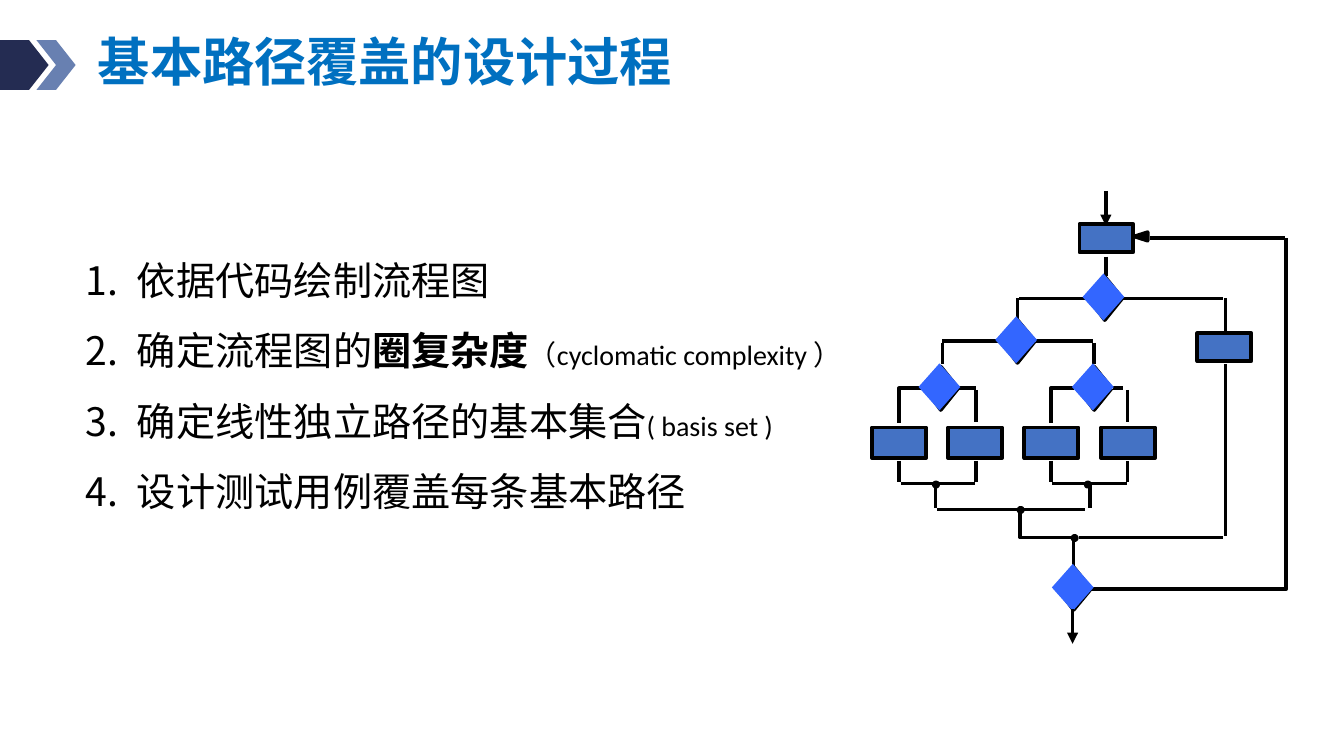
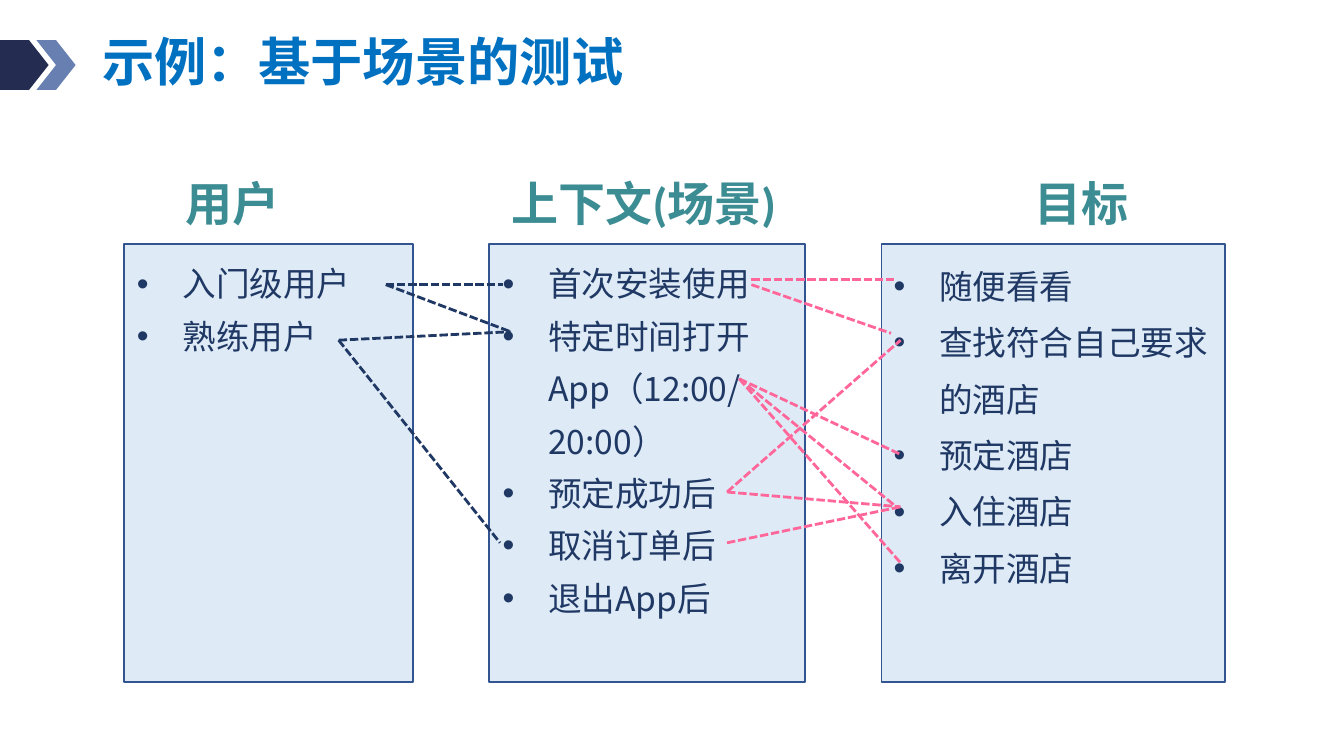
from dataclasses import dataclass
from lxml.etree import SubElement
from pptx import Presentation
from pptx.dml.color import RGBColor
from pptx.enum.dml import MSO_LINE
from pptx.enum.shapes import MSO_CONNECTOR, MSO_SHAPE
from pptx.enum.text import MSO_ANCHOR, PP_ALIGN
from pptx.oxml.ns import qn
from pptx.util import Cm, Pt

# Shared style
COLORS = {
    "title": "0070C0", "navy": "242C52", "steel": "6880B1",
    "black": "000000", "action": "4472C4", "choice": "3366FF",
    "panel": "DEEBF7", "border": "325491", "ink": "203864",
    "pink": "FF6699", "teal": "3C8C93",
}
HAN, LATIN = "Noto Sans CJK SC", "Calibri"
INCH = 2.54


@dataclass
class Box:
    left: float
    top: float
    width: float
    height: float


@dataclass
class Span:
    text: str
    size: float | None = None
    bold: bool = False


@dataclass
class Panel:
    box: Box
    items: list[str]
    space: float = 1.3
    inset: tuple[float, float] = (0.1, 0.05)


@dataclass
class Fan:
    color: str
    start: tuple[float, float]
    ends: list[tuple[float, float]]


def size(inches: float) -> Cm:
    return Cm(round(inches * INCH, 2))


def place(box: Box) -> list[Cm]:
    return [size(v) for v in (box.left, box.top, box.width, box.height)]


def tint(name: str) -> RGBColor:
    return RGBColor.from_string(COLORS[name])


# Drawing helpers
def paint(shape, fill: str | None, line: str | None, width: float = 2) -> None:
    shape.shadow.inherit = False
    if fill:
        shape.fill.solid()
        shape.fill.fore_color.rgb = tint(fill)
    else:
        shape.fill.background()
    if line:
        shape.line.color.rgb = tint(line)
        shape.line.width = Pt(width)
    else:
        shape.line.fill.background()


def draw_shape(slide, kind, box: Box, fill: str, line: str | None = None,
               width: float = 2):
    shape = slide.shapes.add_shape(kind, *place(box))
    paint(shape, fill, line, width)
    return shape


def draw_line(slide, start, end, color: str = "black", width: float = 2,
              dash: bool = False, arrow: bool = False) -> None:
    line = slide.shapes.add_connector(
        MSO_CONNECTOR.STRAIGHT, *[size(v) for v in (*start, *end)])
    line.line.color.rgb = tint(color)
    line.line.width = Pt(width)
    if dash:
        line.line.dash_style = MSO_LINE.SQUARE_DOT
    props = line._element.spPr
    if arrow:
        SubElement(props.find(qn("a:ln")), qn("a:tailEnd"), type="triangle")
    SubElement(props, qn("a:effectLst"))


def draw_path(slide, points, fill: str | None = None) -> None:
    first, *rest = [(size(x), size(y)) for x, y in points]
    pen = slide.shapes.build_freeform(*first)
    pen.add_line_segments(rest, close=fill is not None)
    paint(pen.convert_to_shape(), fill, "black")


def add_text(slide, box: Box):
    frame = slide.shapes.add_textbox(*place(box)).text_frame
    frame.word_wrap = True
    return frame


def set_font(para, points: float, name: str, color: str,
             bold: bool | None = None) -> None:
    font = para.font
    font.size, font.name, font.bold = Pt(points), name, bold
    font.color.rgb = tint(color)
    SubElement(font._element, qn("a:ea"), typeface=HAN)


def set_bullet(para, indent: float, tag: str, **marks: str) -> None:
    props = para._p.get_or_add_pPr()
    props.set("marL", str(size(indent)))
    props.set("indent", str(-size(indent)))
    SubElement(props, qn("a:buFont"), typeface="Arial" if tag == "buChar" else "+mj-lt")
    SubElement(props, qn(f"a:{tag}"), **marks)


def next_para(frame, index: int):
    return frame.paragraphs[0] if index == 0 else frame.add_paragraph()


def new_slide(deck, title: str, box: Box):
    slide = deck.slides.add_slide(deck.slide_layouts[6])
    # Corner mark
    tab = draw_shape(slide, MSO_SHAPE.ROUNDED_RECTANGLE,
                     Box(-0.13, 0.3, 0.35, 0.37), "navy")
    tab.adjustments[0] = 0.1
    for left, color in ((0.27, "steel"), (0.07, "navy")):
        draw_shape(slide, MSO_SHAPE.CHEVRON, Box(left, 0.3, 0.29, 0.37), color)
    # Title
    frame = add_text(slide, box)
    frame.vertical_anchor = MSO_ANCHOR.MIDDLE
    para = frame.paragraphs[0]
    para.text = title
    para.line_spacing = 0.9
    set_font(para, 28, HAN, "title", True)
    return slide


# Slide 1: steps and flowchart
STEPS = [
    [Span("依据代码绘制流程图")],
    [Span("确定流程图的"), Span("圈复杂度", bold=True),
     Span("（cyclomatic complexity ）", 15)],
    [Span("确定线性独立路径的基本集合"), Span("( basis set )", 15)],
    [Span("设计测试用例覆盖每条基本路径")],
]
CHOICES = [(8.22, 2.22), (7.57, 2.54), (7, 2.89), (8.14, 2.89), (7.99, 4.38)]
ACTIONS = [Box(8.03, 1.67, 0.4, 0.21), Box(8.91, 2.48, 0.4, 0.21)] + [
    Box(6.49 + 0.567 * i, 3.18, 0.4, 0.23) for i in range(4)]
JOINS = [(6.95, 3.59), (8.08, 3.59), (7.58, 3.78), (7.98, 3.99)]
BRANCHES = (6.69, 7.82)
EDGES = [
    ((8.56, 1.77), (9.56, 1.77)), ((8.23, 1.91), (8.23, 2.05)),
    ((8.07, 2.22), (7.58, 2.22)), ((8.36, 2.22), (9.1, 2.22)),
    ((7.57, 2.38), (7.57, 2.22)), ((9.12, 2.47), (9.12, 2.22)),
    ((7.45, 2.54), (7.01, 2.54)), ((7.71, 2.54), (8.13, 2.54)),
    ((7.01, 2.55), (7.01, 2.71)), ((8.14, 2.55), (8.14, 2.71)),
    ((7.13, 2.89), (7.26, 2.89)), ((8.28, 2.89), (8.36, 2.89)),
    ((6.96, 3.61), (6.96, 3.78)), ((8.11, 3.61), (8.11, 3.78)),
    ((6.97, 3.79), (7.59, 3.79)), ((7.61, 3.79), (8.07, 3.79)),
    ((9.12, 2.71), (9.12, 3.99)), ((8.03, 4), (9.1, 4)),
    ((7.99, 4.21), (7.99, 4)),
]
ARROWS = [((7.98, 4.53), (7.98, 4.79)), ((8.23, 1.42), (8.23, 1.68))]
ELBOWS = [
    [(7.59, 3.81), (7.59, 4), (7.99, 4)],
    [(8.12, 4.38), (9.57, 4.38), (9.57, 1.77)],
]


def draw_flow(slide) -> None:
    for box in ACTIONS:
        draw_shape(slide, MSO_SHAPE.RECTANGLE, box, "action", "black")
    for start, end in EDGES:
        draw_line(slide, start, end)
    for points in ELBOWS:
        draw_path(slide, points)
    # Twin branches above and below the four actions
    for left in BRANCHES:
        right = left + 0.57
        draw_path(slide, [(left + 0.17, 2.89), (left, 2.89), (left, 3.15)])
        draw_line(slide, (right, 2.9), (right, 3.14))
        for x in (left, right):
            draw_line(slide, (x, 3.43), (x, 3.59))
        draw_line(slide, (left + 0.01, 3.6), (right - 0.01, 3.6))
    for x, y in JOINS:
        draw_shape(slide, MSO_SHAPE.OVAL, Box(x, y, 0.03, 0.03), "black", "black")
    # Head of the loop back
    draw_path(slide, [(8.44, 1.76), (8.54, 1.73), (8.54, 1.79)], "black")
    # Decisions with their dark edges
    for x, y in CHOICES:
        for rise in (-0.16, 0.16):
            draw_path(slide, [(x - 0.12, y), (x, y + rise), (x + 0.13, y)])
        draw_shape(slide, MSO_SHAPE.DIAMOND,
                   Box(x - 0.165, y - 0.185, 0.31, 0.35), "choice")
    for start, end in ARROWS:
        draw_line(slide, start, end, arrow=True)


def draw_steps(slide) -> None:
    frame = add_text(slide, Box(0.54, 1.68, 6.04, 2.16))
    for i, spans in enumerate(STEPS):
        para = next_para(frame, i)
        para.line_spacing = 1.5
        set_bullet(para, 0.38, "buAutoNum", type="arabicPeriod")
        set_font(para, 21, LATIN, "black")
        for span in spans:
            run = para.add_run()
            run.text = span.text
            if span.size:
                run.font.size = Pt(span.size)
            if span.bold:
                run.font.bold, run.font.name = True, HAN


# Slide 2: panels and links
HEADS = "用户\t上下文(场景)\t目标"
STOPS = (2.43, 6.32)
PANELS = [
    Panel(Box(0.92, 1.82, 2.15, 3.26), ["入门级用户", "熟练用户"]),
    Panel(Box(3.64, 1.82, 2.35, 3.26),
          ["首次安装使用", "特定时间打开App（12:00/ 20:00）", "预定成功后",
           "取消订单后", "退出App后"]),
    Panel(Box(6.56, 1.82, 2.56, 3.26),
          ["随便看看", "查找符合自己要求的酒店", "预定酒店", "入住酒店", "离开酒店"],
          1.4, (0.09, 0.04)),
]
FANS = [
    Fan("ink", (2.87, 2.12), [(3.74, 2.12), (3.8, 2.47)]),
    Fan("ink", (2.52, 2.53), [(3.8, 2.47), (3.72, 4.04)]),
    Fan("pink", (5.59, 2.08), [(6.67, 2.08)]),
    Fan("pink", (5.59, 2.12), [(6.63, 2.48)]),
    Fan("pink", (5.5, 2.82), [(6.7, 3.38), (6.67, 3.77), (6.7, 4.19)]),
    Fan("pink", (5.41, 3.66), [(6.7, 2.53), (6.7, 3.77)]),
    Fan("pink", (5.41, 4.04), [(6.7, 3.77)]),
]


def draw_panel(slide, panel: Panel) -> None:
    shape = draw_shape(slide, MSO_SHAPE.RECTANGLE, panel.box, "panel", "border", 1)
    frame = shape.text_frame
    frame.word_wrap = True
    frame.vertical_anchor = MSO_ANCHOR.TOP
    frame.margin_left = frame.margin_right = size(panel.inset[0])
    frame.margin_top = frame.margin_bottom = size(panel.inset[1])
    for i, item in enumerate(panel.items):
        para = next_para(frame, i)
        para.text = item
        para.alignment = PP_ALIGN.LEFT
        para.line_spacing = panel.space
        set_bullet(para, 0.34, "buChar", char="•")
        set_font(para, 18, HAN, "ink")


def draw_heads(slide) -> None:
    para = add_text(slide, Box(1.28, 1.25, 7.38, 0.53)).paragraphs[0]
    para.text = HEADS
    tabs = SubElement(para._p.get_or_add_pPr(), qn("a:tabLst"))
    for stop in STOPS:
        SubElement(tabs, qn("a:tab"), pos=str(size(stop)), algn="l")
    set_font(para, 25.2, LATIN, "teal", True)


def main() -> None:
    deck = Presentation()
    deck.slide_width, deck.slide_height = Cm(25.4), Cm(14.29)

    slide = new_slide(deck, "基本路径覆盖的设计过程", Box(0.63, 0.12, 5.55, 0.72))
    draw_flow(slide)
    draw_steps(slide)

    slide = new_slide(deck, "示例：基于场景的测试", Box(0.66, 0.01, 6.17, 0.94))
    for panel in PANELS:
        draw_panel(slide, panel)
    draw_heads(slide)
    for fan in FANS:
        for end in fan.ends:
            draw_line(slide, fan.start, end, fan.color, 1.5, dash=True)

    deck.save("out.pptx")


if __name__ == "__main__":
    main()
